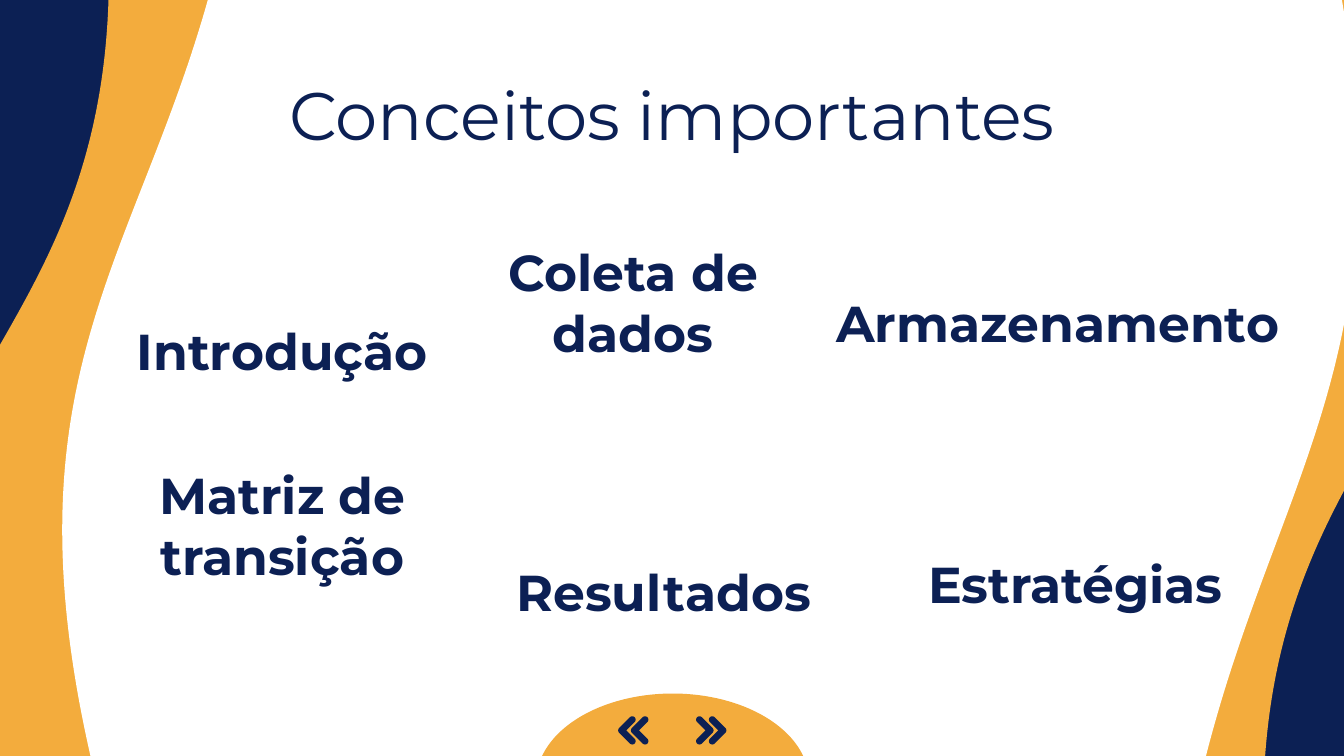
from collections import namedtuple
from math import cos, radians, sin, sqrt

from pptx import Presentation
from pptx.dml.color import RGBColor
from pptx.enum.shapes import MSO_SHAPE
from pptx.enum.text import MSO_ANCHOR, PP_ALIGN
from pptx.util import Inches, Pt

WAVE = MSO_SHAPE.FLOWCHART_DOCUMENT
PIE = MSO_SHAPE.PIE
MIDDLE = MSO_ANCHOR.MIDDLE
CENTER = PP_ALIGN.CENTER

COLORS = {"navy": "0C2054", "orange": "F3AC3D", "white": "FFFFFF"}
FONT = "Montserrat"
COLUMNS, ROWS = 100, 56.25
UNIT = Inches(0.1)

Box = namedtuple("Box", "left top width height")

WAVES = [
    (Box(0.3, -9.4, 62.3, 77.3), 90, "orange"),
    (Box(39.4, -9.5, 62.5, 77.3), 270, "orange"),
    (Box(14.5, -3.8, 96.7, 78.4), 270, "white"),
    (Box(-3.2, -20.2, 91, 77.3), 90, "white"),
]
TOPICS = [
    ("Matriz de transição", Box(0, 15.9, 25.2, 10.9)),
    ("Resultados", Box(28.4, 23.4, 25.2, 5.8)),
    ("Estratégias", Box(59, 22.8, 25.2, 5.8)),
    ("Armazenamento", Box(52.6, 3.4, 35.4, 5.8)),
    ("Coleta de dados", Box(26.1, 0, 25.2, 9.5)),
    ("Introdução", Box(0, 5.5, 25.2, 5.8)),
]


def emu(units):
    """Convert grid units to whole EMU."""
    return round(units * UNIT)


def inside(region, part):
    """Return a part's box moved into its region."""
    return Box(region.left + part.left, region.top + part.top, part.width, part.height)


def paint(shape, color):
    """Give a shape a flat fill with no line or shadow."""
    shape.shadow.inherit = False
    shape.fill.solid()
    shape.fill.fore_color.rgb = RGBColor.from_string(COLORS[color])
    shape.line.fill.background()


def add_mirrored(slide, preset, box, rotation, color):
    """Add a rotated preset that is flipped horizontally."""
    shape = slide.shapes.add_shape(preset, *map(emu, box))
    shape.rotation = rotation
    shape.element.spPr.get_or_add_xfrm().set("flipH", "1")
    paint(shape, color)
    return shape


def add_heading(slide, box, words, size, bold=False):
    """Add centred text in the slide's font."""
    heading = slide.shapes.add_textbox(*map(emu, box))
    frame = heading.text_frame
    frame.text = words
    frame.word_wrap = True
    frame.vertical_anchor = MIDDLE
    frame.margin_left = frame.margin_right = Inches(0.1)
    frame.margin_top = frame.margin_bottom = Inches(0.1)
    paragraph = frame.paragraphs[0]
    paragraph.alignment = CENTER
    font = paragraph.runs[0].font
    font.name, font.size, font.bold = FONT, Pt(size), bold
    font.color.rgb = RGBColor.from_string(COLORS["navy"])


def add_waves(slide, region):
    """Layer the curved side bands around the white centre."""
    for wave, rotation, color in WAVES:
        add_mirrored(slide, WAVE, inside(region, wave), rotation, color)


def add_topics(slide, region):
    """Place the topic names."""
    for topic, place in TOPICS:
        add_heading(slide, inside(region, place), topic, 27, bold=True)


def add_chevron(group, box, direction):
    """Draw a round-ended chevron pointing right (1) or left (-1)."""
    radius = 0.25
    reach = box.height / 2 - radius
    middle_x, middle_y = box.left + box.width / 2, box.top + box.height / 2
    back, tip = radius - box.width / 2, box.width / 2 - radius
    ends = [(back, -reach, 135, 315), (tip, 0, -45, 45), (back, reach, 45, 225)]
    outline = [
        (x + radius * cos(radians(angle)), y + radius * sin(radians(angle)))
        for x, y, start, stop in ends
        for angle in range(start, stop + 1, 15)
    ]
    outline.append((tip - radius * sqrt(2), 0))
    points = [(emu(middle_x + direction * x), emu(middle_y + y)) for x, y in outline]
    builder = group.shapes.build_freeform(*points[0])
    builder.add_line_segments(points[1:], close=True)
    paint(builder.convert_to_shape(), "navy")


def add_navigation(slide, region):
    """Draw the bottom dome with its forward and back arrows."""
    dome = add_mirrored(slide, PIE, region, 180, "orange")
    dome.adjustments[0], dome.adjustments[1] = 0, 108.31
    for left, direction in ((11.9, 1), (6.1, -1)):
        group = slide.shapes.add_group_shape()
        for step in range(2):
            chevron = Box(left + step * 0.95, 1.7, 1.3, 2.1)
            add_chevron(group, inside(region, chevron), direction)


def main():
    """Build and save the slide."""
    deck = Presentation()
    deck.slide_width, deck.slide_height = emu(COLUMNS), emu(ROWS)
    slide = deck.slides.add_slide(deck.slide_layouts[6])
    backdrop = slide.background.fill
    backdrop.solid()
    backdrop.fore_color.rgb = RGBColor.from_string(COLORS["navy"])
    add_waves(slide, Box(0, 0, COLUMNS, ROWS))
    add_heading(slide, Box(7.9, 5.8, 84.2, 5.3), "Conceitos importantes", 36)
    add_topics(slide, Box(8.4, 17.7, 88, 29.2))
    add_navigation(slide, Box(39.9, 51.6, 20.3, 13.1))
    deck.save("out.pptx")


if __name__ == "__main__":
    main()
